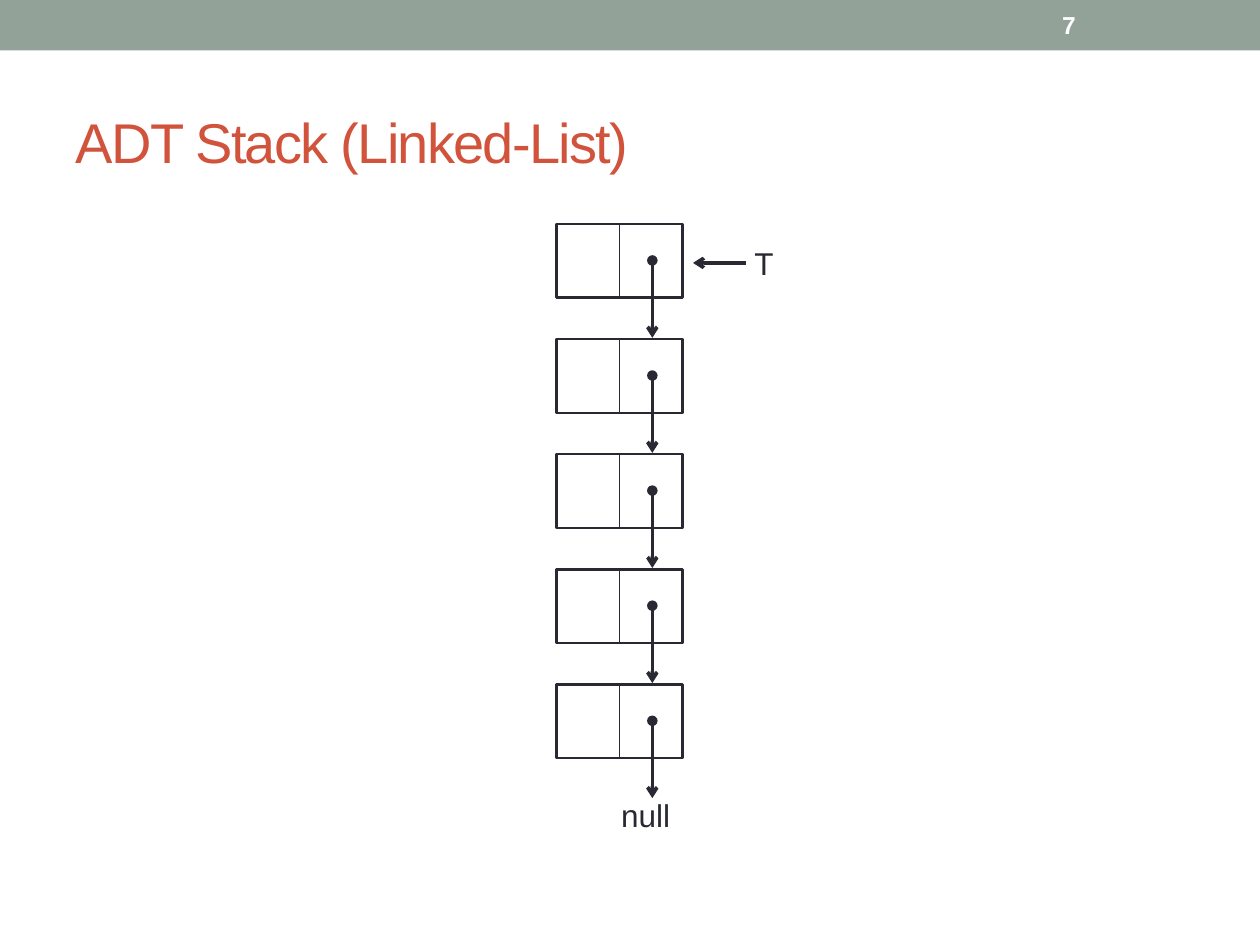
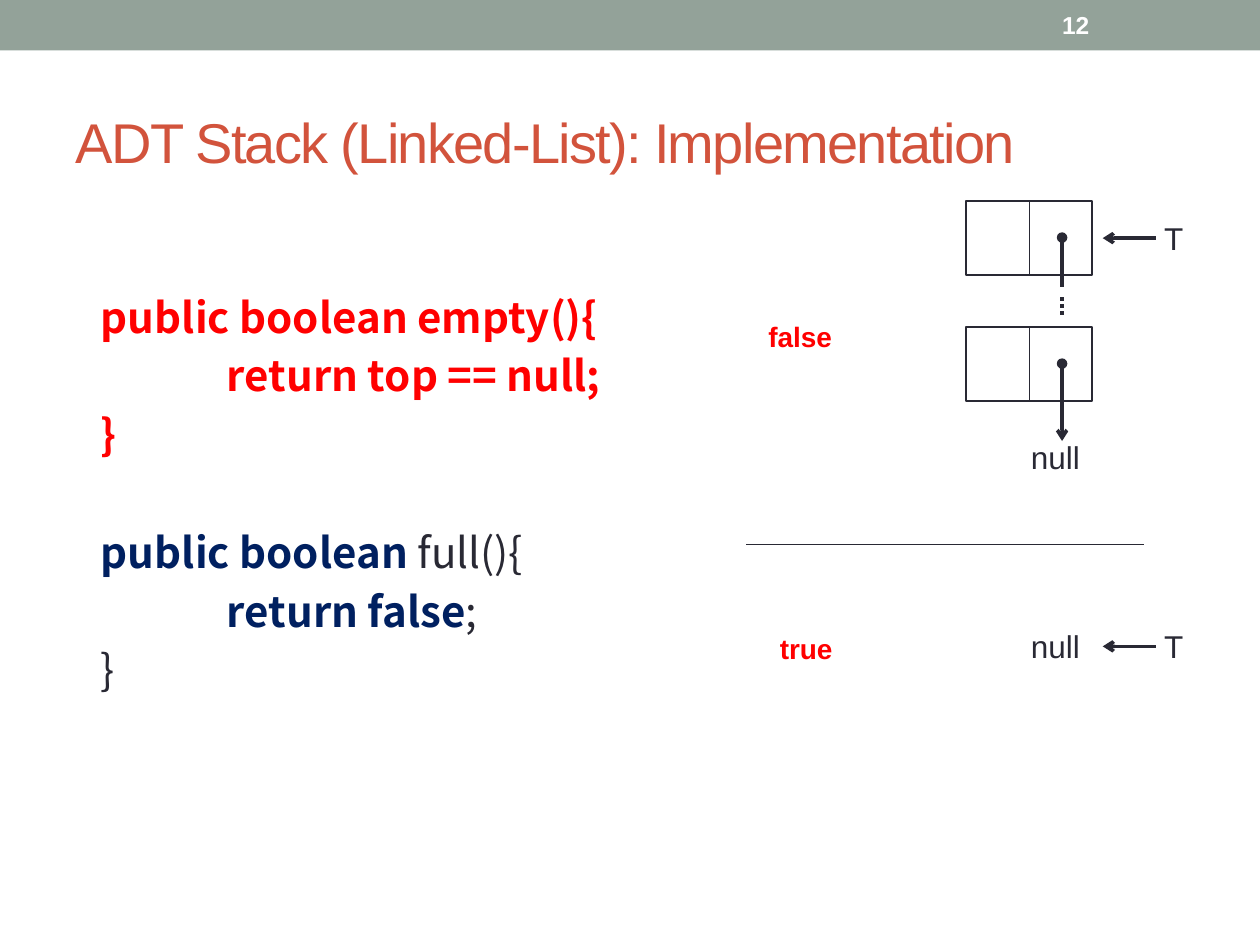
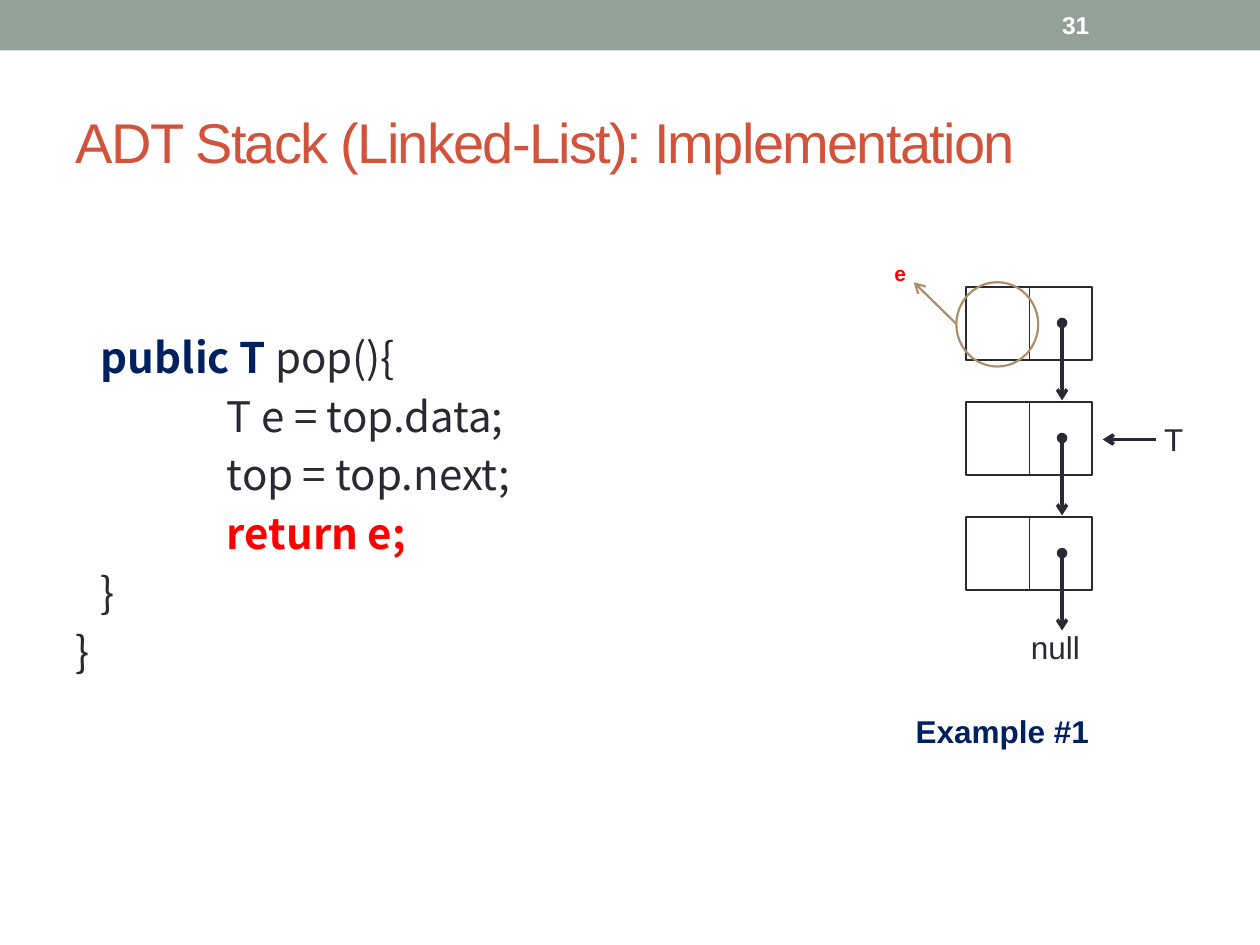
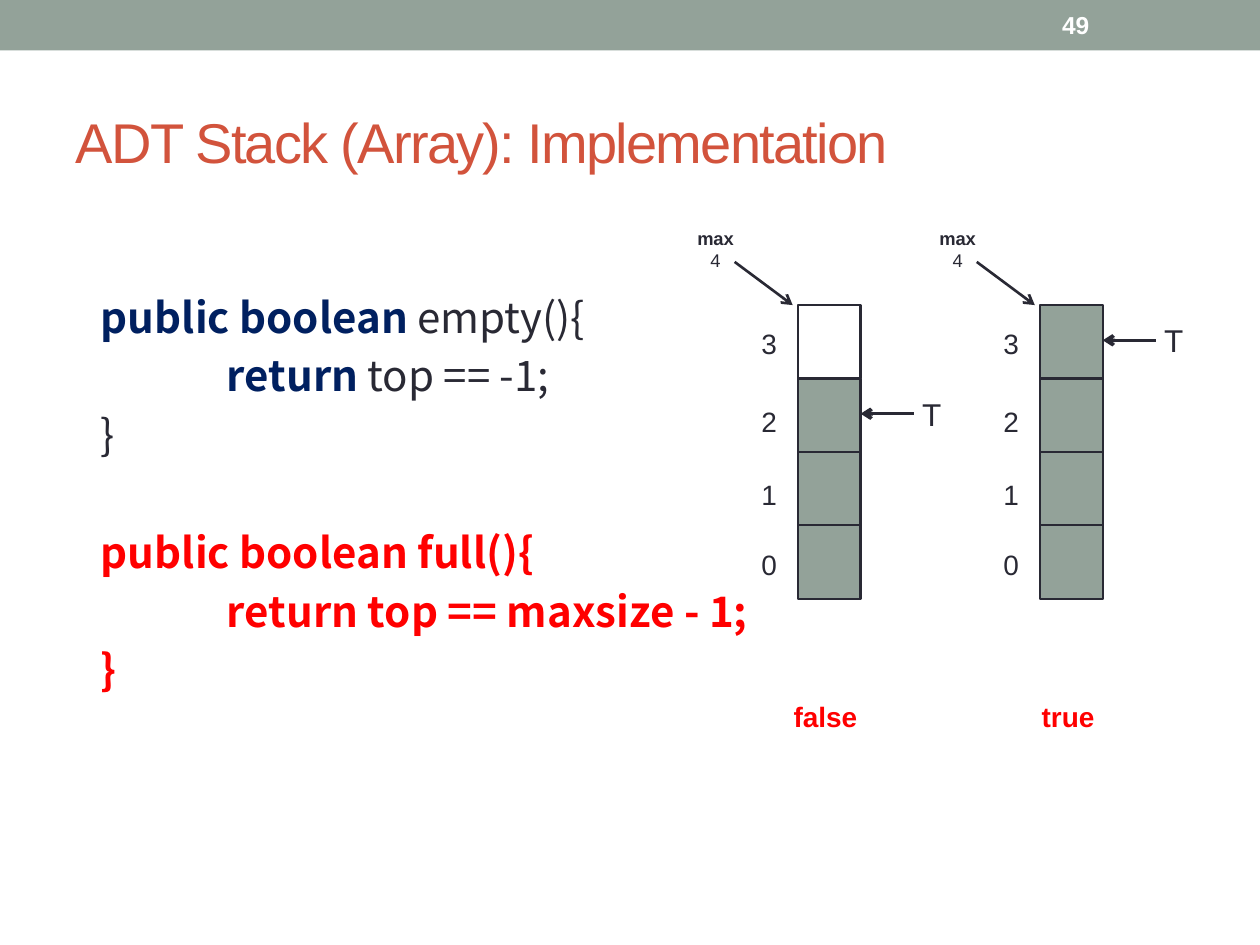
from lxml import etree
from pptx import Presentation
from pptx.dml.color import RGBColor
from pptx.enum.dml import MSO_LINE
from pptx.enum.shapes import MSO_CONNECTOR, MSO_SHAPE
from pptx.enum.text import MSO_ANCHOR, MSO_AUTO_SIZE, PP_ALIGN
from pptx.oxml.ns import qn
from pptx.util import Cm, Pt

RECTANGLE, OVAL = MSO_SHAPE.RECTANGLE, MSO_SHAPE.OVAL
STRAIGHT = MSO_CONNECTOR.STRAIGHT
DOTTED = MSO_LINE.ROUND_DOT
MIDDLE, TOP = MSO_ANCHOR.MIDDLE, MSO_ANCHOR.TOP
FIXED, GROW = MSO_AUTO_SIZE.NONE, MSO_AUTO_SIZE.SHAPE_TO_FIT_TEXT
LEFT, CENTER = PP_ALIGN.LEFT, PP_ALIGN.CENTER

COLORS = {
    "sage": "93A299", "rust": "D2533C", "ink": "292934", "navy": "002060",
    "red": "FF0000", "tan": "AD8F67", "white": "FFFFFF",
}
CODE_STYLES = {"plain": ("ink", False), "keyword": ("navy", True), "active": ("red", True)}
CODE_INDENTS = (0, 0.51, 3.05)
CODE_PITCH = 33.6
TITLE_ONLY, TITLE_AND_BODY = 5, 1
NODE_WIDTH, NODE_HEIGHT, NODE_PITCH = 2.54, 1.48, 2.32
LIST_LEFT = 19.48
LINKED_TITLE = "ADT Stack (Linked-List): Implementation"


class StackDeck:
    """Holds the deck style and the current slide, and draws its elements."""

    def __init__(self):
        self.presentation = Presentation()
        self.presentation.slide_width = Cm(25.4)
        self.presentation.slide_height = Cm(19.05)
        self.slide = None

    def color(self, name):
        return RGBColor.from_string(COLORS[name])

    def start_slide(self, title, number, layout=TITLE_AND_BODY):
        self.slide = self.presentation.slides.add_slide(
            self.presentation.slide_layouts[layout])
        if len(self.presentation.slides) == 1:
            self.add_master_band()
        shape = self.slide.shapes.title
        self.place(shape, 1.27, 1.47, 22.86, 2.74)
        frame = shape.text_frame
        frame.auto_size = FIXED
        frame.vertical_anchor = MIDDLE
        paragraph = frame.paragraphs[0]
        paragraph.alignment = LEFT
        run = self.add_run(paragraph, title, 32, "rust")
        run.font.element.set("spc", "-100") if hasattr(run.font, "element") else \
            run._r.get_or_add_rPr().set("spc", "-100")
        self.label(str(number), 21.16, 0.05, 2.97, 0.91, 14, "white", True, anchor=MIDDLE)

    def add_master_band(self):
        band = self.box(0, 0, 25.4, 1.02, "sage", None)
        band.element.nvSpPr.cNvPr.set("id", "100")
        self.presentation.slide_master.shapes.element.insert(2, band.element)

    def place(self, shape, left, top, width, height):
        shape.left, shape.top = Cm(left), Cm(top)
        shape.width, shape.height = Cm(width), Cm(height)

    def add_run(self, paragraph, text, size, color, bold=False, font="Arial"):
        run = paragraph.add_run()
        run.text = text
        run.font.name = font
        run.font.size = Pt(size)
        run.font.bold = bold
        run.font.color.rgb = self.color(color)
        return run

    def label(self, text, left, top, width, height, size=18, color="ink",
              bold=False, anchor=TOP):
        shape = self.slide.shapes.add_textbox(Cm(left), Cm(top), Cm(width), Cm(height))
        frame = shape.text_frame
        frame.word_wrap = anchor == MIDDLE
        frame.auto_size = FIXED if anchor == MIDDLE else GROW
        frame.vertical_anchor = anchor
        paragraph = frame.paragraphs[0]
        self.add_run(paragraph, text, size, color, bold)
        return paragraph

    def code(self, margin_top, lines):
        shape = self.slide.placeholders[1]
        self.place(shape, 1.27, 4.45, 22.86, 13.54)
        frame = shape.text_frame
        frame.auto_size = FIXED
        frame.margin_top = Cm(margin_top)
        for index, (level, gap, runs) in enumerate(lines):
            paragraph = frame.add_paragraph() if index else frame.paragraphs[0]
            paragraph.line_spacing = Pt(CODE_PITCH)
            paragraph.space_before = Pt(gap * CODE_PITCH)
            properties = paragraph._p.get_or_add_pPr()
            properties.set("marL", str(Cm(CODE_INDENTS[level])))
            properties.set("indent", "0")
            etree.SubElement(properties, qn("a:buNone"))
            for text, style in runs:
                color, bold = CODE_STYLES[style]
                self.add_run(paragraph, text, 24, color, bold, "Noto Sans CJK SC")

    def box(self, left, top, width, height, fill="white", outline="ink", kind=RECTANGLE):
        shape = self.slide.shapes.add_shape(kind, Cm(left), Cm(top), Cm(width), Cm(height))
        shape.shadow.inherit = False
        if fill:
            shape.fill.solid()
            shape.fill.fore_color.rgb = self.color(fill)
        else:
            shape.fill.background()
        if outline:
            shape.line.color.rgb = self.color(outline)
            shape.line.width = Pt(1.25)
        else:
            shape.line.fill.background()
        return shape

    def line(self, start, end, width=0.75, color="ink", head=None, tail=None, dash=None):
        connector = self.slide.shapes.add_connector(
            STRAIGHT, Cm(start[0]), Cm(start[1]), Cm(end[0]), Cm(end[1]))
        connector.line.color.rgb = self.color(color)
        connector.line.width = Pt(width)
        if dash:
            connector.line.dash_style = dash
        properties = connector.element.spPr
        outline = properties.find(qn("a:ln"))
        for tag, kind in (("a:headEnd", head), ("a:tailEnd", tail)):
            if kind:
                etree.SubElement(outline, qn(tag)).set("type", kind)
        etree.SubElement(properties, qn("a:effectLst"))

    def node(self, left, top, reach=1.56, tail="arrow"):
        self.box(left, top, NODE_WIDTH, NODE_HEIGHT)
        middle = left + NODE_WIDTH / 2
        self.line((middle, top), (middle, top + NODE_HEIGHT))
        pointer = left + 1.93
        self.line((pointer, top + 0.73), (pointer, top + 0.73 + reach), 2,
                  head="oval", tail=tail)

    def linked_list(self, left, top, count):
        for index in range(count):
            self.node(left, top + index * NODE_PITCH)
        self.null(left, top + count * NODE_PITCH - 0.2)

    def null(self, list_left, top):
        self.label("null", list_left + 1.05, top, 1.68, 1.02)

    def top_marker(self, left, y):
        self.line((left + 1.07, y), (left, y), 2, tail="arrow")
        self.label("T", left + 0.99, y - 0.51, 0.91, 1.02)

    def array(self, left, fills, top_row):
        top = 6.15
        for row, fill in enumerate(fills):
            self.box(left, top + row * NODE_HEIGHT, 1.27, NODE_HEIGHT, fill)
        for text, label_top in zip("3210", (6.45, 8.03, 9.5, 10.92)):
            self.label(text, left - 0.98, label_top, 0.86, 0.94, 16)
        paragraph = self.label("max", left - 2.33, 4.45, 1.35, 1.19, 10.5, bold=True)
        paragraph.alignment = CENTER
        paragraph.add_line_break()
        self.add_run(paragraph, "4", 10.5, "ink")
        self.line((left - 1.27, 5.28), (left - 0.1, top), 1.5, tail="arrow")
        self.top_marker(left + 1.27, 6.86 + top_row * NODE_HEIGHT)

    def answer(self, text, left, top):
        self.label(text, left, top, 1.8 if text == "false" else 1.63, 0.94, 16, "red", True)


def build_overview(deck):
    deck.start_slide("ADT Stack (Linked-List)", 7, TITLE_ONLY)
    deck.linked_list(11.22, 4.52, 5)
    deck.top_marker(13.97, 5.3)


def build_linked_checks(deck):
    deck.start_slide(LINKED_TITLE, 12)
    deck.code(1.25, [
        (1, 0, [("public boolean empty(){", "active")]),
        (2, 0, [("return top == null;", "active")]),
        (1, 0, [("}", "active")]),
        (1, 1, [("public boolean ", "keyword"), ("full(){", "plain")]),
        (2, 0, [("return false", "keyword"), (";", "plain")]),
        (1, 0, [("}", "plain")]),
    ])
    deck.node(LIST_LEFT, 4.06, 0.99, None)
    deck.node(LIST_LEFT, 6.6)
    pointer = LIST_LEFT + 1.93
    deck.line((pointer, 5.99), (pointer, 6.38), 2, dash=DOTTED)
    deck.line((15.04, 10.97), (23.06, 10.97))
    for null_top, marker_y in ((8.71, 4.8), (12.52, 13.03)):
        deck.null(LIST_LEFT, null_top)
        deck.top_marker(22.23, marker_y)
    deck.answer("false", 15.24, 6.32)
    deck.answer("true", 15.47, 12.6)


def build_pop(deck):
    deck.start_slide(LINKED_TITLE, 31)
    deck.code(2.06, [
        (1, 0, [("public T", "keyword"), (" pop(){", "plain")]),
        (2, 0, [("T e = top.data;", "plain")]),
        (2, 0, [("top = top.next;", "plain")]),
        (2, 0, [("return e;", "active")]),
        (1, 0, [("}", "plain")]),
        (0, 0, [("}", "plain")]),
    ])
    deck.linked_list(LIST_LEFT, 5.78, 3)
    deck.box(19.28, 5.69, 1.65, 1.7, None, "tan", OVAL)
    deck.line((19.28, 6.53), (18.42, 5.69), 1.25, "tan", tail="arrow")
    deck.label("e", 17.78, 5.13, 0.64, 0.76, 12, "red", True)
    deck.top_marker(22.23, 8.86)
    deck.label("Example #1", 18.21, 14.22, 4.17, 1.02, 18, "navy", True)


def build_array_checks(deck):
    deck.start_slide("ADT Stack (Array): Implementation", 49)
    deck.code(1.25, [
        (1, 0, [("public boolean ", "keyword"), ("empty(){", "plain")]),
        (2, 0, [("return", "keyword"), (" top == -1;", "plain")]),
        (1, 0, [("}", "plain")]),
        (1, 1, [("public boolean full(){", "active")]),
        (2, 0, [("return top == maxsize - 1;", "active")]),
        (1, 0, [("}", "active")]),
    ])
    deck.array(16.08, ["white"] + ["sage"] * 3, 1)
    deck.array(20.96, ["sage"] * 4, 0)
    deck.answer("false", 15.75, 13.97)
    deck.answer("true", 20.75, 13.97)


def main():
    deck = StackDeck()
    build_overview(deck)
    build_linked_checks(deck)
    build_pop(deck)
    build_array_checks(deck)
    deck.presentation.save("out.pptx")


if __name__ == "__main__":
    main()
